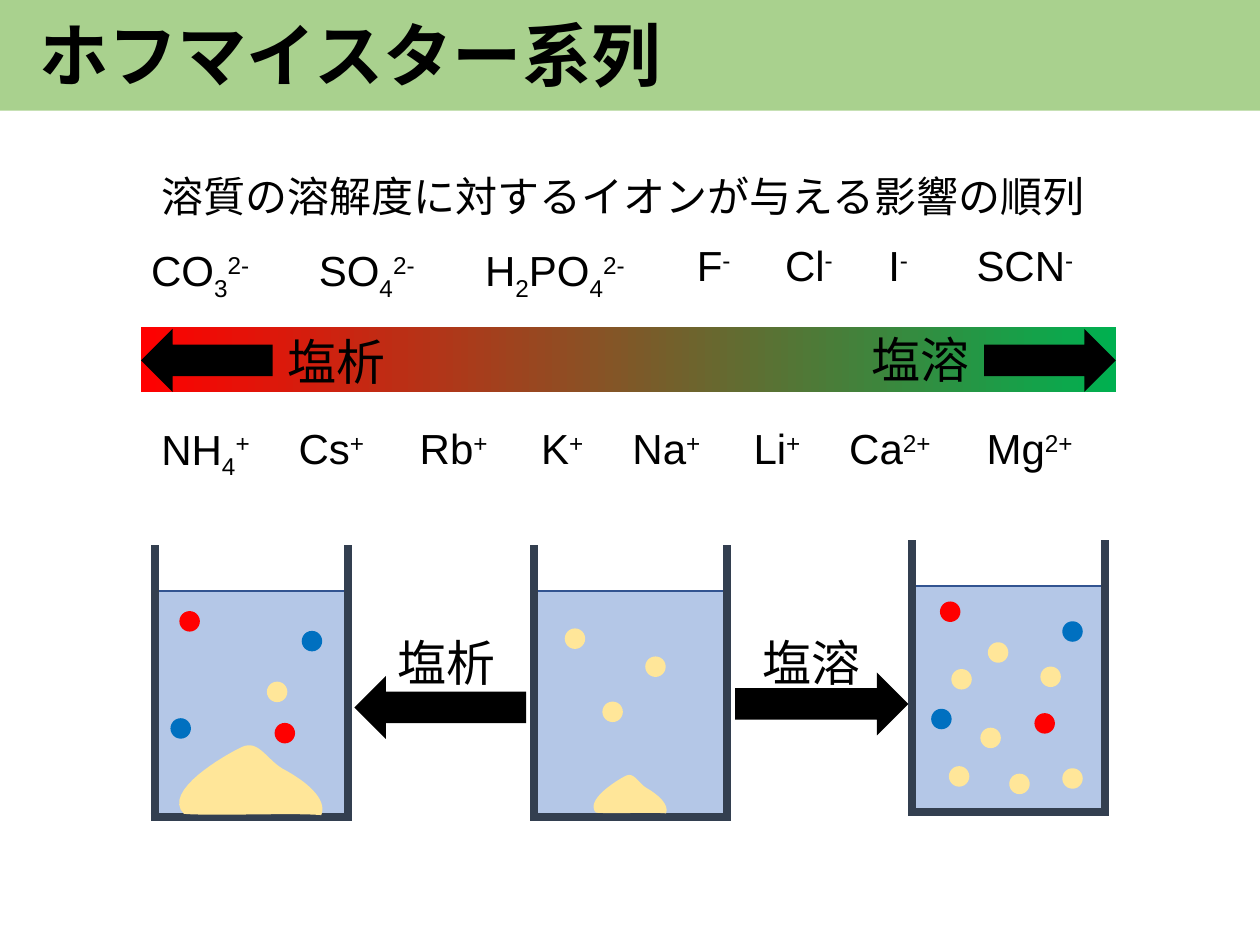
from dataclasses import dataclass
from typing import NamedTuple

from lxml import etree
from pptx import Presentation
from pptx import util as u
from pptx.dml.color import RGBColor
from pptx.enum import shapes, text
from pptx.oxml.ns import qn


@dataclass(frozen=True)
class Theme:
    band: str = "A9D18E"
    ink: str = "000000"
    salting_out: str = "FF0000"
    salting_in: str = "00B050"
    water: str = "B4C7E7"
    water_line: str = "325491"
    glass: str = "333F50"
    solute: str = "FFE699"
    red_ion: str = "FF0000"
    blue_ion: str = "0070C0"
    japanese: str = "Noto Sans CJK JP"
    latin: str = "Arial"
    title_size: float = 39.6
    body_size: float = 24
    label_size: float = 28


THEME = Theme()
BASELINES = {"_": "-25000", "^": "30000"}


class Box(NamedTuple):
    left: float
    top: float
    width: float
    height: float


class Ion(NamedTuple):
    formula: str  # parts split by "|"; "_" marks a subscript, "^" a superscript
    left: float
    width: float
    line_spacing: float = 0.9


class Grain(NamedTuple):
    color: str
    left: float
    top: float


class Mound(NamedTuple):
    left: float
    bottom: float
    scale_x: float = 1
    scale_y: float = 1


@dataclass(frozen=True)
class Beaker:
    left: float
    top: float
    grains: tuple[Grain, ...]
    mound: Mound | None = None


ANION_TOP, CATION_TOP, ION_HEIGHT = 140.4, 244.8, 26
ANIONS = (
    Ion("CO|_3|^2-", 86.4, 88.5), Ion("SO|_4|^2-", 182.2, 88.5),
    Ion("H|_2|PO|_4|^2-", 277.2, 114), Ion("F|^-", 398.2, 44),
    Ion("Cl|^-", 448.6, 52.5), Ion("I|^-", 507.6, 44), Ion("SCN|^-", 558, 85),
)
CATIONS = (
    Ion("NH|_4|^+", 92.2, 55, 0.8), Ion("Cs|^+", 170.6, 45.5),
    Ion("Rb|^+", 239.8, 45.5), Ion("K|^+", 309.2, 28), Ion("Na|^+", 361.4, 45.5),
    Ion("Li|^+", 430.6, 30), Ion("Ca|^2+", 485.3, 55), Ion("Mg|^2+", 563.8, 55),
)

# Grains and mounds are placed from the top left corner of the water
WATER_WIDTH, WATER_HEIGHT, RIM, GLASS_WIDTH, GRAIN = 110.2, 129, 26, 4.5, 11.7
SOLUTE, RED, BLUE = THEME.solute, THEME.red_ion, THEME.blue_ion
BEAKERS = (
    Beaker(88.5, 337.7, (
        Grain(SOLUTE, 64, 51.8), Grain(RED, 68.4, 75.4), Grain(BLUE, 83.9, 22.8),
        Grain(RED, 14, 11.5), Grain(BLUE, 8.9, 72.7),
    ), Mound(16.6, 127.4)),
    Beaker(305.3, 337.7, (
        Grain(SOLUTE, 63.4, 37.4), Grain(SOLUTE, 38.9, 63.2), Grain(SOLUTE, 17.4, 21.4),
    ), Mound(35.3, 126.7, 0.51, 0.55)),
    Beaker(521.3, 334.8, (
        Grain(SOLUTE, 43.2, 32.2), Grain(SOLUTE, 38.9, 81), Grain(RED, 69.8, 72.7),
        Grain(BLUE, 85.7, 20.2), Grain(RED, 15.8, 8.9), Grain(BLUE, 10.8, 70.2),
        Grain(SOLUTE, 73.2, 46.1), Grain(SOLUTE, 85.7, 104.2), Grain(SOLUTE, 20.9, 103),
        Grain(SOLUTE, 22.3, 47.5), Grain(SOLUTE, 55.4, 107.3),
    )),
)

# Bezier segments of a mound, starting at its lower left corner
MOUND_CURVES = (
    ((-13, -13), (23.8, -33.8), (33.1, -38.2)),
    ((42.5, -42.5), (46.8, -31.7), (56.2, -25.9)),
    ((69.8, -18.7), (82.1, -8.6), (78.5, 0.7)),
    ((60.5, -0.7), (17.3, 1.4), (0, 0)),
)
CURVE_STEPS = 16


def points(*values: float) -> list[u.Pt]:
    return [u.Pt(value) for value in values]


def add_run(paragraph, content: str, font: str, size: float, bold: bool = False, baseline: str = ""):
    run = paragraph.add_run()
    run.text = content
    run.font.name, run.font.size, run.font.bold = font, u.Pt(size), bold
    run.font.color.rgb = RGBColor.from_string(THEME.ink)
    properties = run.font._element
    etree.SubElement(properties, qn("a:ea")).set("typeface", font)
    if baseline:
        properties.set("baseline", baseline)


def fill_placeholder(shape, box: Box, content: str, size: float, anchor, bold: bool = False):
    shape.left, shape.top, shape.width, shape.height = points(*box)
    frame = shape.text_frame
    frame.auto_size, frame.vertical_anchor = text.MSO_AUTO_SIZE.NONE, anchor
    paragraph = frame.paragraphs[0]
    paragraph.alignment, paragraph.line_spacing = text.PP_ALIGN.LEFT, 0.9
    properties = paragraph._p.get_or_add_pPr()
    properties.set("marL", "0")
    properties.set("indent", "0")
    etree.SubElement(properties, qn("a:buNone"))
    add_run(paragraph, content, THEME.japanese, size, bold)


def add_shape(slide, kind, box: Box, color: str):
    shape = slide.shapes.add_shape(kind, *points(*box))
    shape.shadow.inherit = False
    shape.fill.solid()
    shape.fill.fore_color.rgb = RGBColor.from_string(color)
    shape.line.fill.background()
    return shape


def add_label(slide, content: str, left: float, top: float):
    frame = slide.shapes.add_textbox(*points(left, top, 74, 41)).text_frame
    frame.word_wrap = True
    add_run(frame.paragraphs[0], content, THEME.japanese, THEME.label_size)


def add_ion(slide, ion: Ion, top: float):
    frame = slide.shapes.add_textbox(*points(ion.left, top, ion.width, ION_HEIGHT)).text_frame
    frame.word_wrap = True
    frame.margin_left = frame.margin_top = frame.margin_right = frame.margin_bottom = 0
    paragraph = frame.paragraphs[0]
    paragraph.line_spacing, paragraph.space_before = ion.line_spacing, u.Pt(10)
    for part in ion.formula.split("|"):
        add_run(paragraph, part.lstrip("_^"), THEME.latin, THEME.body_size,
                baseline=BASELINES.get(part[0], ""))


def add_glass(slide, start: tuple[float, float], end: tuple[float, float]):
    line = slide.shapes.add_connector(shapes.MSO_CONNECTOR.STRAIGHT, *points(*start, *end))
    line.line.width = u.Pt(GLASS_WIDTH)
    line.line.color.rgb = RGBColor.from_string(THEME.glass)
    etree.SubElement(line._element.spPr, qn("a:effectLst"))


def add_mound(slide, left: float, bottom: float, mound: Mound):
    outline, start = [], (0, 0)
    for first, second, end in MOUND_CURVES:
        for step in range(1, CURVE_STEPS + 1):
            t = step / CURVE_STEPS
            x, y = ((1 - t) ** 3 * a + 3 * t * (1 - t) ** 2 * b + 3 * t ** 2 * (1 - t) * c + t ** 3 * d
                    for a, b, c, d in zip(start, first, second, end))
            outline.append(points(left + x * mound.scale_x, bottom + y * mound.scale_y))
        start = end
    builder = slide.shapes.build_freeform(*points(left, bottom))
    builder.add_line_segments(outline, close=True)
    shape = builder.convert_to_shape()
    shape.shadow.inherit = False
    shape.fill.solid()
    shape.fill.fore_color.rgb = RGBColor.from_string(THEME.solute)
    shape.line.fill.background()


def add_beaker(slide, beaker: Beaker):
    left, top = beaker.left, beaker.top
    right, bottom = left + WATER_WIDTH, top + WATER_HEIGHT
    water = add_shape(slide, shapes.MSO_SHAPE.RECTANGLE,
                      Box(left, top, WATER_WIDTH, WATER_HEIGHT), THEME.water)
    water.line.color.rgb = RGBColor.from_string(THEME.water_line)
    water.line.width = u.Pt(1)
    half = GLASS_WIDTH / 2
    add_glass(slide, (left - half, bottom), (right + half, bottom))
    for wall in (left, right):
        add_glass(slide, (wall, top - RIM), (wall, bottom + half))
    if beaker.mound:
        add_mound(slide, left + beaker.mound.left, top + beaker.mound.bottom, beaker.mound)
    for grain in beaker.grains:
        add_shape(slide, shapes.MSO_SHAPE.OVAL,
                  Box(left + grain.left, top + grain.top, GRAIN, GRAIN), grain.color)


def main():
    presentation = Presentation()
    presentation.slide_width, presentation.slide_height = points(720, 540)
    slide = presentation.slides.add_slide(presentation.slide_layouts[1])

    # Title band, placed behind the title, and the definition
    band = add_shape(slide, shapes.MSO_SHAPE.RECTANGLE, Box(0, -0.7, 720, 64), THEME.band)
    slide.shapes._spTree.insert(2, band._element)
    title, body = slide.placeholders
    fill_placeholder(title, Box(15.1, 8.6, 630, 50.4), "ホフマイスター系列",
                     THEME.title_size, text.MSO_ANCHOR.BOTTOM, bold=True)
    fill_placeholder(body, Box(85, 97.2, 550, 31), "溶質の溶解度に対するイオンが与える影響の順列",
                     THEME.body_size, text.MSO_ANCHOR.TOP)

    # Scale from salting out to salting in
    scale = add_shape(slide, shapes.MSO_SHAPE.RECTANGLE, Box(80.6, 187, 557, 37.2), THEME.salting_out)
    scale.fill.gradient()
    scale.fill.gradient_angle = 0
    for stop, color in zip(scale.fill.gradient_stops, (THEME.salting_out, THEME.salting_in)):
        stop.color.rgb = RGBColor.from_string(color)

    # Ion series above and below the scale
    for ions, top in ((ANIONS, ANION_TOP), (CATIONS, CATION_TOP)):
        for ion in ions:
            add_ion(slide, ion, top)

    for beaker in BEAKERS:
        add_beaker(slide, beaker)

    # Arrows on the scale and between the beakers, with their labels
    left_arrow, right_arrow = shapes.MSO_SHAPE.LEFT_ARROW, shapes.MSO_SHAPE.RIGHT_ARROW
    for kind, box in ((left_arrow, Box(80.6, 188, 75.2, 36)), (right_arrow, Box(562.4, 188, 75.2, 36)),
                      (left_arrow, Box(202.5, 386.3, 98.2, 36)), (right_arrow, Box(420, 384.3, 99, 36))):
        add_shape(slide, kind, box, THEME.ink)
    for content, left, top in (("塩析", 157, 185.8), ("塩溶", 491, 185),
                               ("塩析", 220.3, 357.8), ("塩溶", 428.6, 357.8)):
        add_label(slide, content, left, top)

    presentation.save("out.pptx")


if __name__ == "__main__":
    main()
